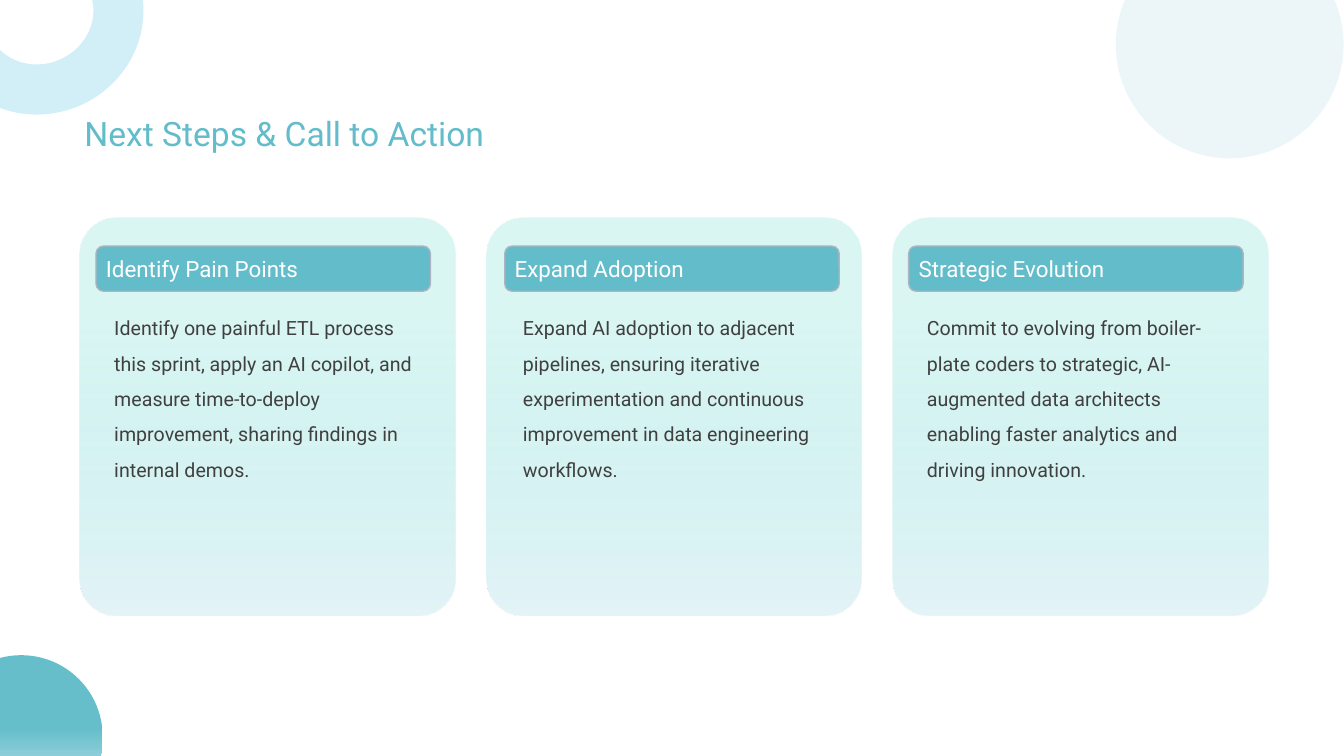
import pptx
import pptx.dml.color
import pptx.enum.shapes
import pptx.enum.text
import pptx.oxml
import pptx.oxml.ns
import pptx.util

Cm = pptx.util.Cm
Pt = pptx.util.Pt
SHAPES = pptx.enum.shapes.MSO_SHAPE
FONT = "Roboto"
COLORS = {
    "teal": "63BCCA",
    "deep_teal": "66BECB",
    "mint": "A8EAE4",
    "ice": "E4F3F7",
    "sky": "D2EFF8",
    "border": "AEB5C0",
    "text": "404040",
    "white": "FFFFFF",
}
CARD_STOPS = [(0, "mint", 42), (25, "mint", 42), (100, "ice", 100)]
CORNER_STOPS = [(0, "deep_teal", 100), (45, "deep_teal", 100), (100, "ice", 100)]
CARDS = [
    ("Identify Pain Points", 0.41,
     "Identify one painful ETL process this sprint, apply an AI copilot, and measure "
     "time-to-deploy improvement, sharing findings in internal demos."),
    ("Expand Adoption", 0.47,
     "Expand AI adoption to adjacent pipelines, ensuring iterative experimentation and "
     "continuous improvement in data engineering workflows."),
    ("Strategic Evolution", 0.41,
     "Commit to evolving from boiler-plate coders to strategic, AI-augmented data "
     "architects enabling faster analytics and driving innovation."),
]
CARD_LEFT, CARD_TOP, CARD_WIDTH, CARD_HEIGHT = 2.01, 5.49, 9.47, 10.01
CARD_PITCH = 10.24


def color(name):
    """Return the named palette colour."""
    return pptx.dml.color.RGBColor.from_string(COLORS[name])


def add_figure(slide, kind, left, top, width, height, fill=None):
    """Add a flat, borderless preset shape with an optional solid fill."""
    shape = slide.shapes.add_shape(kind, Cm(left), Cm(top), Cm(width), Cm(height))
    shape.shadow.inherit = False
    shape.line.fill.background()
    if fill:
        shape.fill.solid()
        shape.fill.fore_color.rgb = color(fill)
    return shape


def set_gradient(shape, stops):
    """Fill a shape from top to bottom with (position, colour, opacity) stops."""
    shape.fill.gradient()
    shape.fill.gradient_angle = 270
    stop_list = shape._element.spPr.find(".//" + pptx.oxml.ns.qn("a:gsLst"))
    stop_list.clear()
    for position, name, opacity in stops:
        stop_list.append(pptx.oxml.parse_xml(
            f'<a:gs {pptx.oxml.ns.nsdecls("a")} pos="{position * 1000}">'
            f'<a:srgbClr val="{COLORS[name]}"><a:alpha val="{opacity * 1000}"/>'
            '</a:srgbClr></a:gs>'))


def add_text(slide, text, left, top, width, height, size, fill, spacing=None):
    """Add a wrapped single-paragraph text box."""
    box = slide.shapes.add_textbox(Cm(left), Cm(top), Cm(width), Cm(height))
    box.text_frame.word_wrap = True
    paragraph = box.text_frame.paragraphs[0]
    paragraph.text = text
    paragraph.line_spacing = spacing
    paragraph.font.size = Pt(size)
    paragraph.font.name = FONT
    paragraph.font.color.rgb = color(fill)
    return box


def add_decoration(slide, width, height):
    """Place the round ornaments in three corners of the slide."""
    corner = add_figure(slide, SHAPES.OVAL, -1.52, height - 2.54, 4.11, 4.11)
    set_gradient(corner, CORNER_STOPS)
    arc = add_figure(slide, SHAPES.BLOCK_ARC, -1.63, -2.18, 5.26, 5.05, "sky")
    arc.rotation = 157
    disc = add_figure(slide, SHAPES.OVAL, width - 5.75, -1.75, 5.74, 5.74, "ice")
    disc_color = disc._element.spPr.find(".//" + pptx.oxml.ns.qn("a:srgbClr"))
    disc_color.append(pptx.oxml.parse_xml(
        f'<a:alpha {pptx.oxml.ns.nsdecls("a")} val="67000"/>'))


def add_title(slide, left, top, width, height):
    """Place the slide heading."""
    box = add_text(slide, "Next Steps & Call to Action", left, top, width, height, 24, "teal")
    box.text_frame.auto_size = pptx.enum.text.MSO_AUTO_SIZE.SHAPE_TO_FIT_TEXT


def add_card(slide, left, top, width, height, heading, inset, body):
    """Place a card with its heading bar and body text."""
    panel = add_figure(slide, SHAPES.ROUNDED_RECTANGLE, left, top, width, height)
    panel.adjustments[0] = 0.1
    set_gradient(panel, CARD_STOPS)
    bar_left, bar_top = left + inset, top + 0.71
    bar = add_figure(slide, SHAPES.ROUNDED_RECTANGLE, bar_left, bar_top,
                     width - 1.04, 1.14, "teal")
    bar.line.color.rgb = color("border")
    bar.line.width = Pt(1)
    add_text(slide, heading, bar_left, bar_top + 0.1, width - 0.94, 1.24, 16, "white")
    add_text(slide, body, bar_left + 0.21, top + 2.06, width - 1.24, height - 2.77,
             14, "text", 1.5)


def main():
    """Build the slide and save it."""
    presentation = pptx.Presentation()
    width, height = 33.87, 19.05
    presentation.slide_width, presentation.slide_height = Cm(width), Cm(height)
    slide = presentation.slides.add_slide(presentation.slide_layouts[6])
    add_decoration(slide, width, height)
    add_title(slide, 1.88, 2.72, 28.93, 1.02)
    for index, (heading, inset, body) in enumerate(CARDS):
        add_card(slide, CARD_LEFT + index * CARD_PITCH, CARD_TOP, CARD_WIDTH, CARD_HEIGHT,
                 heading, inset, body)
    presentation.save("out.pptx")


if __name__ == "__main__":
    main()
